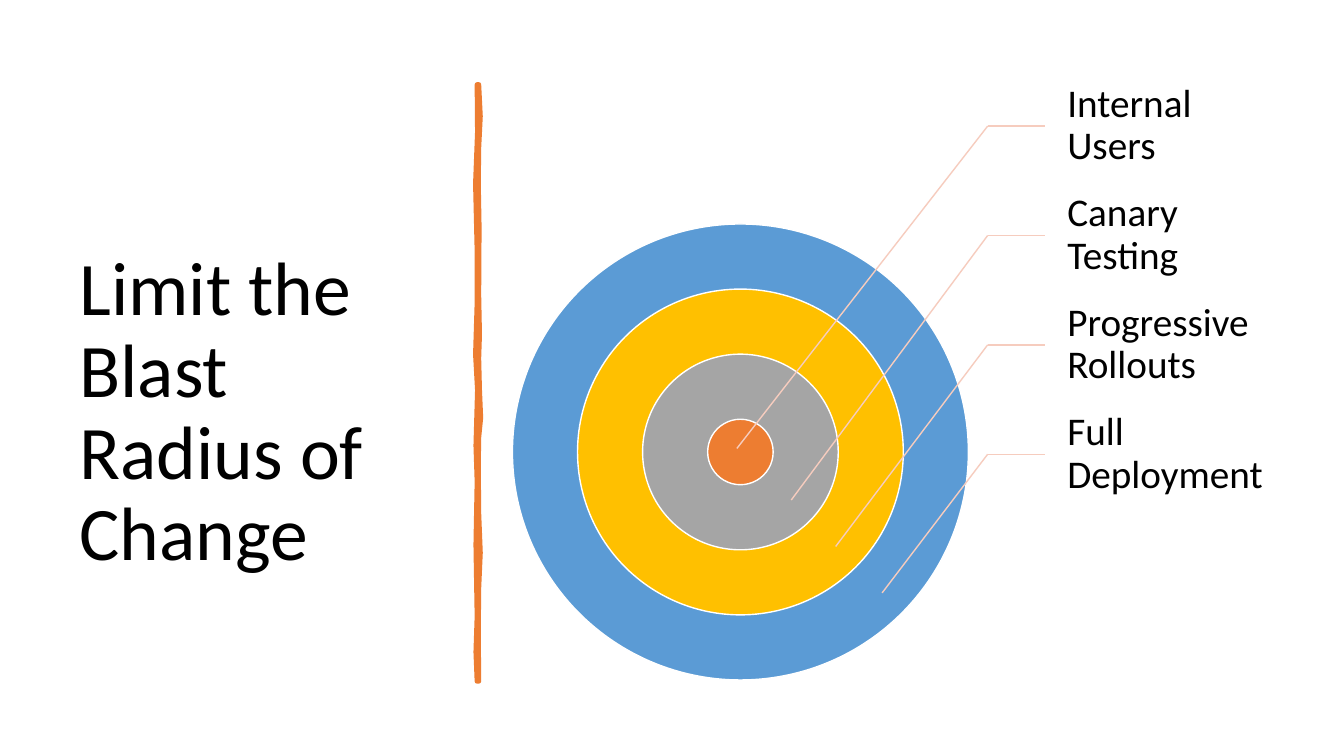
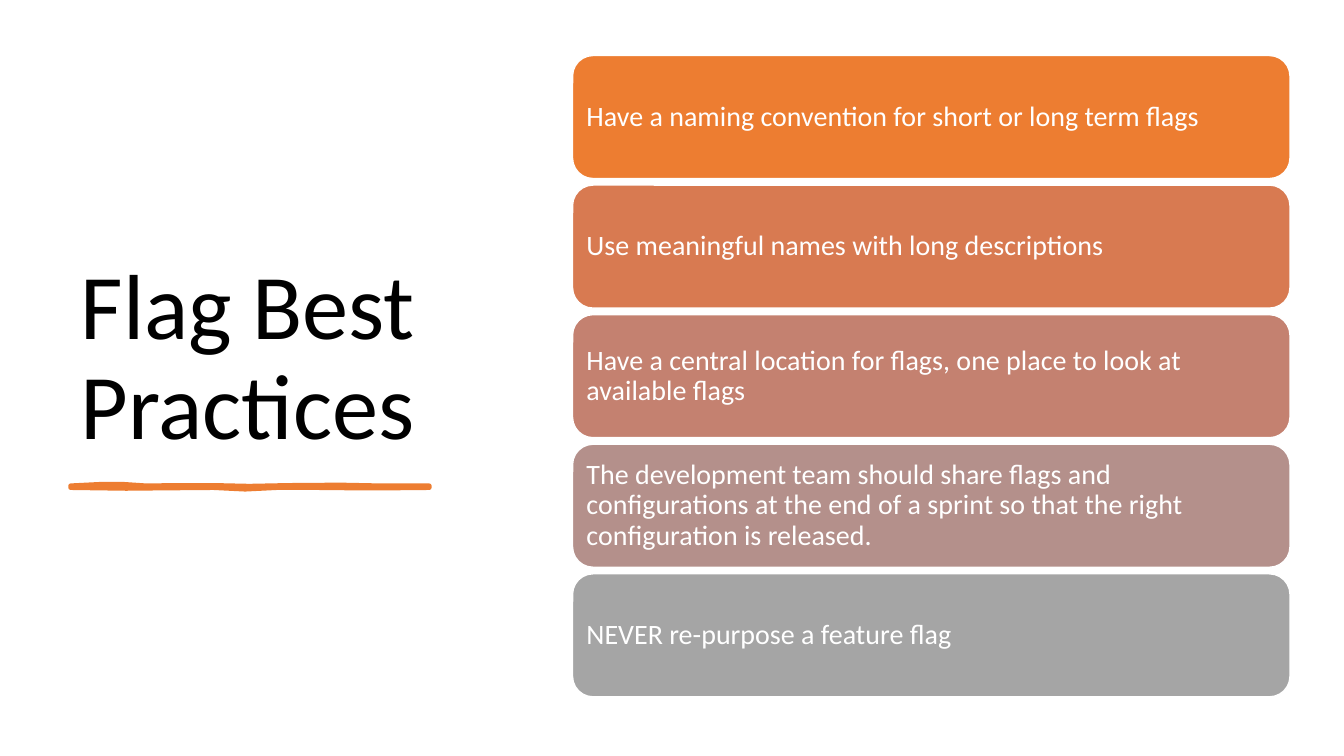
import pptx
import pptx.util
import pptx.dml.color
import pptx.enum.shapes
import pptx.enum.text
import pptx.oxml.ns
from dataclasses import dataclass
from lxml import etree

Cm, Pt = pptx.util.Cm, pptx.util.Pt
MSO = pptx.enum.shapes.MSO_SHAPE
ANCHOR = pptx.enum.text.MSO_ANCHOR


@dataclass(frozen=True)
class Theme:
    font: str = "Calibri"
    text: str = "000000"
    light: str = "FFFFFF"
    accent: str = "ED7D31"
    leader: str = "F6CCBE"
    title_radius: int = 54
    title_practices: int = 66
    label: int = 28
    card: int = 20
    thin: float = 1
    brush: float = 3.25
    spacing: float = 0.9


T = Theme()

# Rings from the centre outwards: label, fill, leader end (cm)
RINGS = [
    ("Internal Users", T.accent, (18.57, 11.3)),
    ("Canary Testing", "A5A5A5", (19.94, 12.6)),
    ("Progressive Rollouts", "FFC000", (21.06, 13.77)),
    ("Full Deployment", "5B9BD5", (22.23, 14.94)),
]
PRACTICES = [
    ("Have a naming convention for short or long term flags", T.accent),
    ("Use meaningful names with long descriptions", "D87A51"),
    ("Have a central location for flags, one place to look at available flags", "C48170"),
    ("The development team should share flags and configurations at the end of a sprint "
     "so that the right configuration is released.", "B4908B"),
    ("NEVER re-purpose a feature flag", "A5A5A5"),
]

# Brush outlines: (distance along, distance across) in cm, out and back
TALL_BRUSH = [
    (0, 0.05), (0.8, 0.09), (1.6, 0.05), (2.5, 0.04), (3.6, 0.06), (5.3, 0.05),
    (6.3, 0.07), (6.9, 0.05), (7.7, 0.07), (8.4, 0.1), (8.9, 0.05), (9.6, 0.04),
    (10.8, 0.05), (11.8, 0.09), (12.7, 0.05), (13.8, 0.04), (15.04, 0.05),
    (15.04, 0), (14.3, -0.03), (13.4, 0), (11.6, -0.03), (10, 0), (9.1, -0.03),
    (7.7, 0.01), (6.8, -0.04), (5.5, 0), (4.2, 0), (2.5, -0.04), (1.2, 0.01), (0, 0),
]
WIDE_BRUSH = [
    (0, 0), (0.8, -0.04), (1.3, -0.04), (1.9, 0), (2.8, -0.01), (3.6, -0.01),
    (4.5, 0.01), (5.5, -0.01), (6.8, -0.02), (7.8, 0), (9.04, 0),
    (9.04, 0.05), (8, 0.06), (7.2, 0.06), (6.2, 0.05), (5.2, 0.05), (4.4, 0.09),
    (3.6, 0.05), (2.4, 0.06), (1.4, 0.07), (0, 0.05),
]


def fill(sp, color, line, width):
    rgb = pptx.dml.color.RGBColor.from_string
    sp.shadow.inherit = False
    sp.fill.solid()
    sp.fill.fore_color.rgb = rgb(color)
    sp.line.color.rgb = rgb(line)
    sp.line.width = Pt(width)


def write(sp, text, size, color, anchor, insets=None):
    tf = sp.text_frame
    tf.word_wrap = True
    tf.auto_size = pptx.enum.text.MSO_AUTO_SIZE.NONE
    tf.vertical_anchor = anchor
    if insets:
        tf.margin_left, tf.margin_top, tf.margin_right, tf.margin_bottom = map(Cm, insets)
    p = tf.paragraphs[0]
    p.alignment = pptx.enum.text.PP_ALIGN.LEFT
    p.line_spacing = T.spacing
    r = p.add_run()
    r.text = text
    r.font.name, r.font.size = T.font, Pt(size)
    r.font.color.rgb = pptx.dml.color.RGBColor.from_string(color)


def titled_slide(prs, title, size, box, anchor):
    s = prs.slides.add_slide(prs.slide_layouts[5])
    sp = s.shapes.title
    sp.left, sp.top, sp.width, sp.height = map(Cm, box)
    write(sp, title, size, T.text, anchor)
    return s


def brush(s, x, y, outline, vertical=False):
    """Draw a hand-painted rule starting at x, y."""
    pts = [(x + b, y + a) if vertical else (x + a, y + b) for a, b in outline]
    pts = [(Cm(px), Cm(py)) for px, py in pts]
    fb = s.shapes.build_freeform(*pts[0])
    fb.add_line_segments(pts[1:], close=True)
    sp = fb.convert_to_shape()
    fill(sp, T.accent, T.accent, T.brush)
    etree.SubElement(sp.line._get_or_add_ln(), pptx.oxml.ns.qn("a:round"))


def leader(s, start, end):
    c = s.shapes.add_connector(pptx.enum.shapes.MSO_CONNECTOR.STRAIGHT,
                               *map(Cm, start + end))
    c.line.color.rgb = pptx.dml.color.RGBColor.from_string(T.leader)
    c.line.width = Pt(T.thin)
    etree.SubElement(c._element.spPr, pptx.oxml.ns.qn("a:effectLst"))


def radius_slide(prs):
    s = titled_slide(prs, "Limit the Blast Radius of Change", T.title_radius,
                     (1.75, 1.78, 9.5, 17.3), ANCHOR.MIDDLE)
    brush(s, 12.02, 2.13, TALL_BRUSH, vertical=True)
    cx, cy, core, step = 18.66, 11.39, 1.65, 3.28
    for i, (_, color, _) in reversed(list(enumerate(RINGS))):
        d = core + i * step
        sp = s.shapes.add_shape(MSO.OVAL, Cm(cx - d / 2), Cm(cy - d / 2), Cm(d), Cm(d))
        fill(sp, color, T.light, T.thin)
    elbow, left, top, height = 24.89, 26.34, 1.8, 2.756
    for i, (label, _, target) in enumerate(RINGS):
        y = top + i * height
        sp = s.shapes.add_textbox(Cm(left), Cm(y), Cm(5.74), Cm(height))
        write(sp, label, T.label, T.text, ANCHOR.MIDDLE, (0.56, 0.1, 0.1, 0.1))
        bend = (elbow, y + height / 2)
        leader(s, bend, (left, bend[1]))
        leader(s, bend, target)


def practices_slide(prs):
    s = titled_slide(prs, "Flag Best Practices", T.title_practices,
                     (1.78, 1.78, 9.93, 9.93), ANCHOR.BOTTOM)
    brush(s, 1.78, 12.24, WIDE_BRUSH)
    top, height, gap = 1.4, 3.1, 0.165
    for i, (text, color) in enumerate(PRACTICES):
        sp = s.shapes.add_shape(MSO.ROUNDED_RECTANGLE, Cm(14.43),
                                Cm(top + i * (height + gap)), Cm(18.08), Cm(height))
        fill(sp, color, T.light, T.thin)
        write(sp, text, T.card, T.light, ANCHOR.MIDDLE, (0.2,) * 4)


def main():
    prs = pptx.Presentation()
    prs.slide_width, prs.slide_height = Cm(33.87), Cm(19.05)
    radius_slide(prs)
    practices_slide(prs)
    prs.save("out.pptx")


if __name__ == "__main__":
    main()
